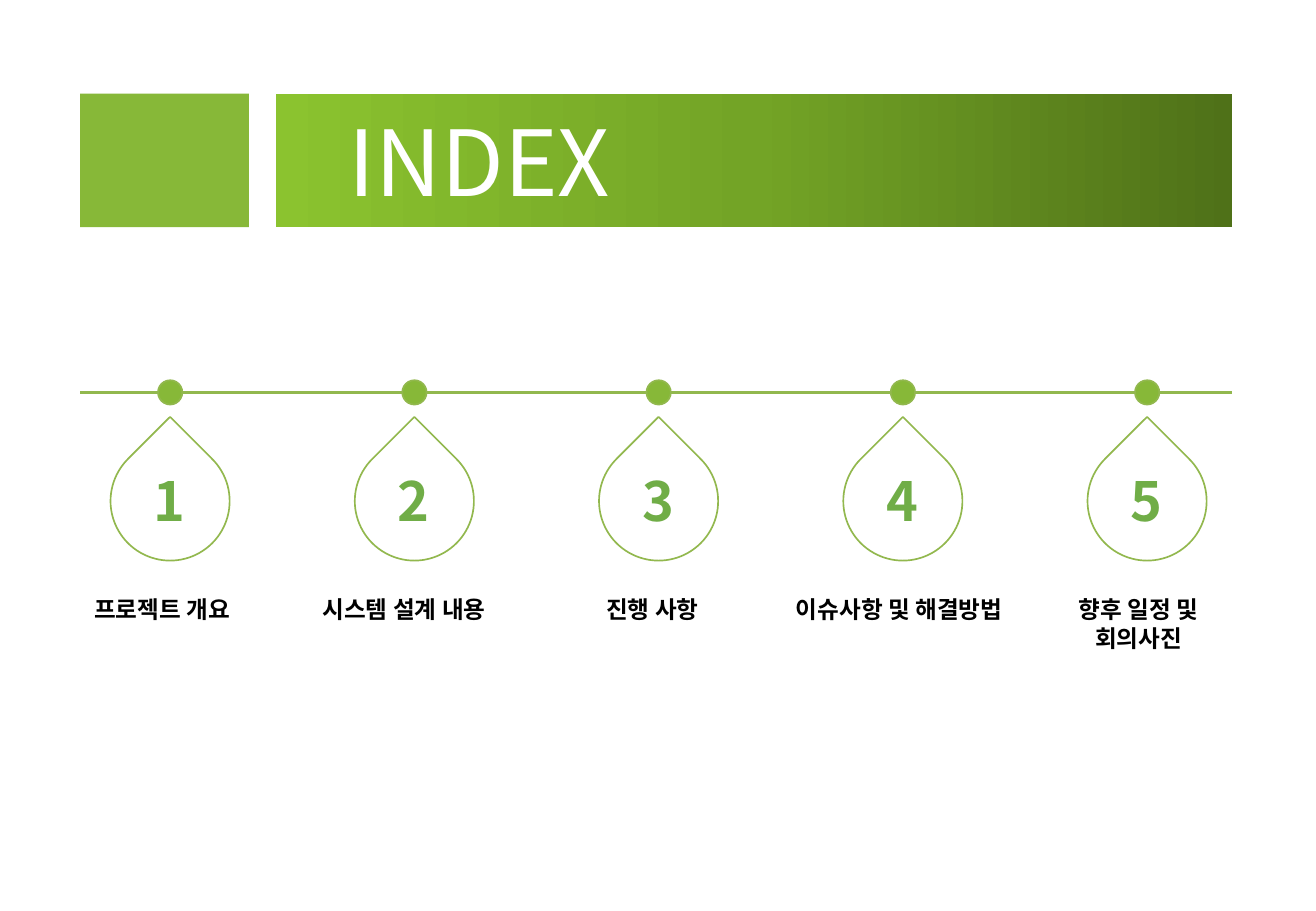
from copy import deepcopy

from lxml import etree
from pptx import Presentation
from pptx.dml.color import RGBColor
from pptx.enum.shapes import MSO_CONNECTOR, MSO_SHAPE
from pptx.enum.text import MSO_ANCHOR, MSO_AUTO_SIZE, PP_ALIGN
from pptx.oxml.ns import qn
from pptx.util import Inches, Pt

RECTANGLE, OVAL, TEAR = MSO_SHAPE.RECTANGLE, MSO_SHAPE.OVAL, MSO_SHAPE.TEAR
STRAIGHT = MSO_CONNECTOR.STRAIGHT
MIDDLE, TOP = MSO_ANCHOR.MIDDLE, MSO_ANCHOR.TOP
LEFT, CENTER = PP_ALIGN.LEFT, PP_ALIGN.CENTER
FIXED, GROW = MSO_AUTO_SIZE.NONE, MSO_AUTO_SIZE.SHAPE_TO_FIT_TEXT

FONT = "Noto Sans CJK KR"
COLORS = {
    "leaf": "87B838", "outline": "92B84E", "number": "70AD47",
    "bright": "8BC32F", "mid": "73A426", "dark": "4F7118",
    "text": "000000", "white": "FFFFFF",
}

# Grid of 100 columns by 100 rows
MARGIN, RIGHT_EDGE = 6.09, 93.63
BANNER_TOP, BANNER_HEIGHT = 10.27, 14.67
TIMELINE = 43.07
FIRST_CENTER, STEP = 12.93, 18.56
DOT_WIDTH, DOT_HEIGHT = 1.85, 2.67

# Label lines, label width, shift of the label from the station's centre
STATIONS = [
    (["프로젝트 개요"], 13.39, 0),
    (["시스템 설계 내용"], 15.79, 0),
    (["진행 사항"], 9.79, 0),
    (["이슈사항 및 해결방법"], 20.04, 0.97),
    (["향후 일정 및", "회의사진"], 12.19, 0),
]


def color(name):
    return RGBColor.from_string(COLORS[name])


class IndexSlide:
    def __init__(self, deck):
        self.column = deck.slide_width / 100
        self.row = deck.slide_height / 100
        self.page = deck.slides.add_slide(deck.slide_layouts[5])

    def place(self, left, top, width, height):
        return (round(left * self.column), round(top * self.row),
                round(width * self.column), round(height * self.row))

    def add_span(self, para, text, size, tint, bold=False):
        span = para.add_run()
        span.text = text
        span.font.size, span.font.bold = Pt(size), bold
        span.font.name = FONT
        span.font.color.rgb = color(tint)
        etree.SubElement(span.font._element, qn("a:ea"), typeface=FONT)

    def title(self, text, area, stops):
        box = self.page.shapes.title
        box.left, box.top, box.width, box.height = self.place(*area)
        box.fill.gradient()
        box.fill.gradient_angle = 0
        stop_list = next(box._element.iter(qn("a:gsLst")))
        stop_list.insert(1, deepcopy(stop_list[0]))
        for index, (stop, tint) in enumerate(zip(box.fill.gradient_stops, stops)):
            stop.position = index / (len(stops) - 1)
            stop.color.rgb = color(tint)
        frame = box.text_frame
        frame.auto_size, frame.vertical_anchor = FIXED, MIDDLE
        frame.margin_left = Inches(0.6)
        para = frame.paragraphs[0]
        para.alignment = LEFT
        self.add_span(para, text, 54, "white")

    def shape(self, kind, area, fill=None, line=None, rotation=0):
        box = self.page.shapes.add_shape(kind, *self.place(*area))
        box.shadow.inherit = False
        box.rotation = rotation
        if fill:
            box.fill.solid()
            box.fill.fore_color.rgb = color(fill)
        else:
            box.fill.background()
        if line:
            box.line.color.rgb = color(line)
            box.line.width = Pt(1)
        else:
            box.line.fill.background()

    def rule(self, start, end, height, tint):
        left, top, right, _ = self.place(start, height, end, 0)
        line = self.page.shapes.add_connector(STRAIGHT, left, top, right, top)
        line.line.color.rgb = color(tint)
        line.line.width = Pt(1.5)
        etree.SubElement(line._element.spPr, qn("a:effectLst"))

    def text(self, lines, area, size, tint):
        box = self.page.shapes.add_textbox(*self.place(*area))
        frame = box.text_frame
        frame.word_wrap, frame.auto_size = False, GROW
        frame.vertical_anchor = TOP
        for index, line in enumerate(lines):
            para = frame.add_paragraph() if index else frame.paragraphs[0]
            para.alignment = CENTER if index else LEFT
            self.add_span(para, line, size, tint, bold=True)


def main():
    deck = Presentation()
    deck.slide_width, deck.slide_height = Inches(10.83), Inches(7.5)
    slide = IndexSlide(deck)

    # Banner
    slide.title("INDEX", (20.96, BANNER_TOP, 72.67, BANNER_HEIGHT),
                ["bright", "mid", "dark"])
    slide.shape(RECTANGLE, (MARGIN, BANNER_TOP, 12.83, BANNER_HEIGHT), "leaf")

    # Timeline with its numbered stations
    slide.rule(MARGIN, RIGHT_EDGE, TIMELINE, "outline")
    for index, (lines, width, shift) in enumerate(STATIONS):
        center = FIRST_CENTER + index * STEP
        slide.shape(OVAL, (center - DOT_WIDTH / 2, TIMELINE - DOT_HEIGHT / 2,
                           DOT_WIDTH, DOT_HEIGHT), "leaf", "outline")
        slide.shape(TEAR, (center - 4.525, 48.47, 9.05, 13.07),
                    line="outline", rotation=315)
        slide.text([str(index + 1)], (center - 2.17, 50.67, 4.34, 8.53),
                   32, "number")
        slide.text(lines, (center + shift - width / 2, 64.67, width,
                           1.46 + 3.07 * len(lines)), 14, "text")

    deck.save("out.pptx")


if __name__ == "__main__":
    main()
